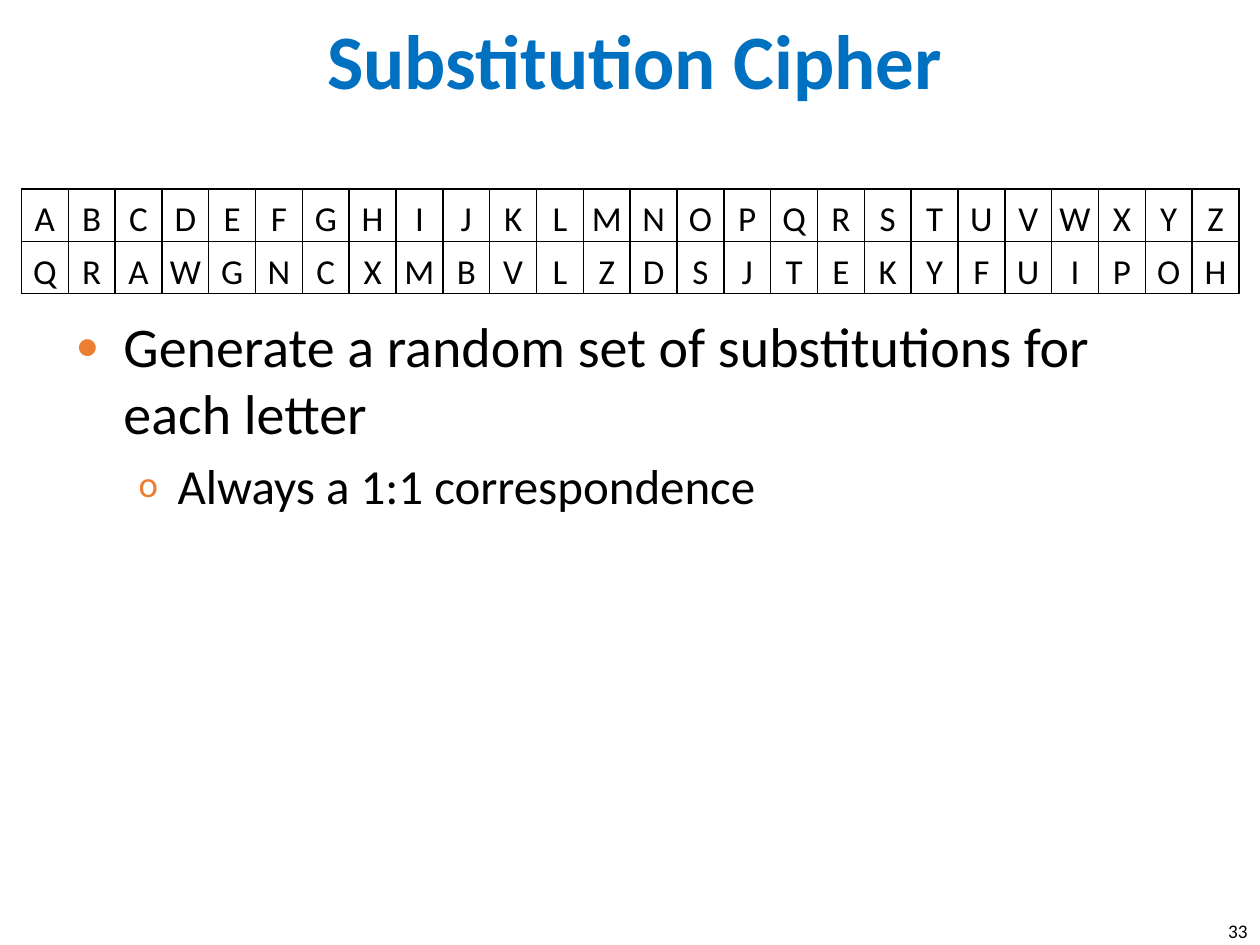
from lxml.etree import SubElement as Sub
from pptx import Presentation
from pptx.dml.color import RGBColor
from pptx.enum.text import MSO_ANCHOR as Anchor, MSO_AUTO_SIZE as Fit, PP_ALIGN as Align
from pptx.oxml.ns import qn
from pptx.util import Inches, Pt

TITLE = "Substitution Cipher"
PLAIN = "ABCDEFGHIJKLMNOPQRSTUVWXYZ"
CIPHER = "QRAWGNCXMBVLZDSJTEKYFUIPOH"
# text, level, size, left margin, hang, bullet, bullet size %, space before
POINTS = [
    ("Generate a random set of substitutions for each letter",
     0, 32, 0.38, 0.38, "•", 85, 0),
    ("Always a 1:1 correspondence", 1, 28, 0.81, 0.31, "o", 75, 5.6),
]
PAGE = "33"
BLACK, BLUE, ORANGE = "000000", "0070C0", "ED7D31"


def style(par, size, color=BLACK, bold=False, align=None):
    font = par.font
    font.name, font.size, font.bold = "Calibri", Pt(size), bold
    font.color.rgb = RGBColor.from_string(color)
    par.alignment = align


def place(shape, *box):
    shape.left, shape.top, shape.width, shape.height = map(Inches, box)


def bullet(par, left, hang, mark, scale):
    props = par._p.get_or_add_pPr()
    props.set("marL", str(Inches(left)))
    props.set("indent", str(-Inches(hang)))
    Sub(Sub(props, qn("a:buClr")), qn("a:srgbClr"), val=ORANGE)
    Sub(props, qn("a:buSzPct"), val=str(scale * 1000))
    Sub(props, qn("a:buFont"), typeface="Calibri")
    Sub(props, qn("a:buChar"), char=mark)


def border(cell):
    props = cell._tc.get_or_add_tcPr()
    for i, side in enumerate(("lnL", "lnR", "lnT", "lnB")):
        line = props.makeelement(qn("a:" + side), {"w": str(Pt(1))})
        Sub(Sub(line, qn("a:solidFill")), qn("a:srgbClr"), val=BLACK)
        props.insert(i, line)


def add_grid(slide, rows, left, top, width, height):
    count = len(rows[0])
    frame = slide.shapes.add_table(len(rows), count, *map(Inches, (left, top, width, height)))
    table = frame.table
    table.first_row = table.horz_banding = False
    for col in table.columns:
        col.width = Inches(width / count)
    for r, row in enumerate(rows):
        for c, letter in enumerate(row):
            cell = table.cell(r, c)
            cell.text = letter
            cell.fill.background()
            cell.vertical_anchor = Anchor.BOTTOM
            cell.margin_left = cell.margin_right = cell.margin_top = Inches(0.01)
            cell.margin_bottom = 0
            style(cell.text_frame.paragraphs[0], 20, align=Align.CENTER)
            border(cell)


def main():
    deck = Presentation()
    deck.slide_width, deck.slide_height = Inches(10), Inches(7.5)
    slide = deck.slides.add_slide(deck.slide_layouts[1])

    title, body = slide.placeholders
    place(title, 0.25, 0.02, 9.58, 0.89)
    title.text_frame.text = TITLE
    title.text_frame.auto_size = Fit.NONE
    title.text_frame.vertical_anchor = Anchor.MIDDLE
    style(title.text_frame.paragraphs[0], 44, BLUE, True, Align.CENTER)

    place(body, 0.5, 2.42, 9, 4.28)
    frame = body.text_frame
    frame.auto_size = Fit.NONE
    frame.text = "\n".join(point[0] for point in POINTS)
    for par, point in zip(frame.paragraphs, POINTS):
        _, par.level, size, left, hang, mark, scale, gap = point
        bullet(par, left, hang, mark, scale)
        par.space_before = Pt(gap)
        style(par, size)

    page = slide.shapes.add_textbox(*map(Inches, (9.58, 7.25, 0.42, 0.24)))
    page.text_frame.word_wrap = True
    page.text_frame.text = PAGE
    style(page.text_frame.paragraphs[0], 11, align=Align.RIGHT)

    add_grid(slide, (PLAIN, CIPHER), 0.17, 1.5, 9.67, 0.83)
    deck.save("out.pptx")


if __name__ == "__main__":
    main()
